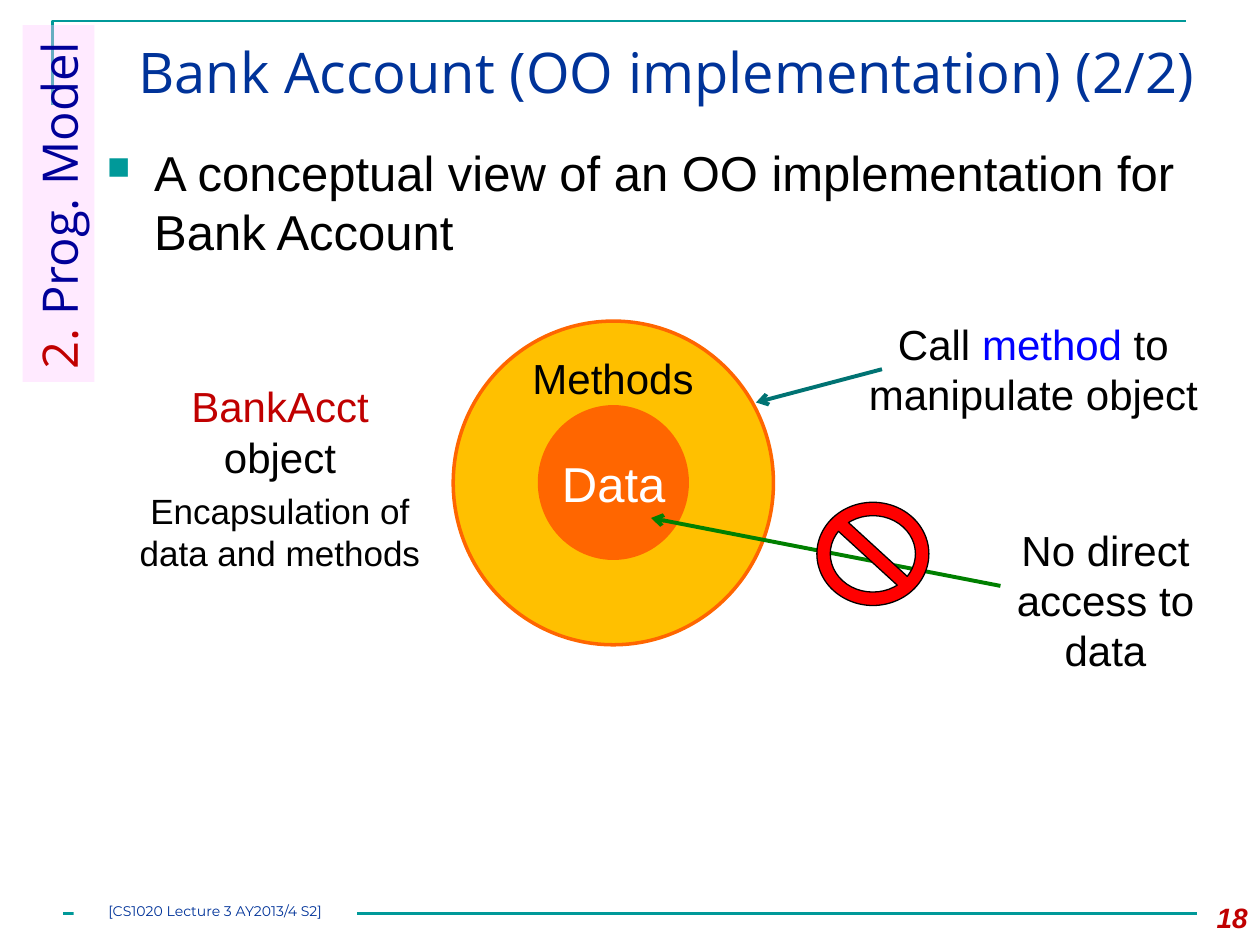
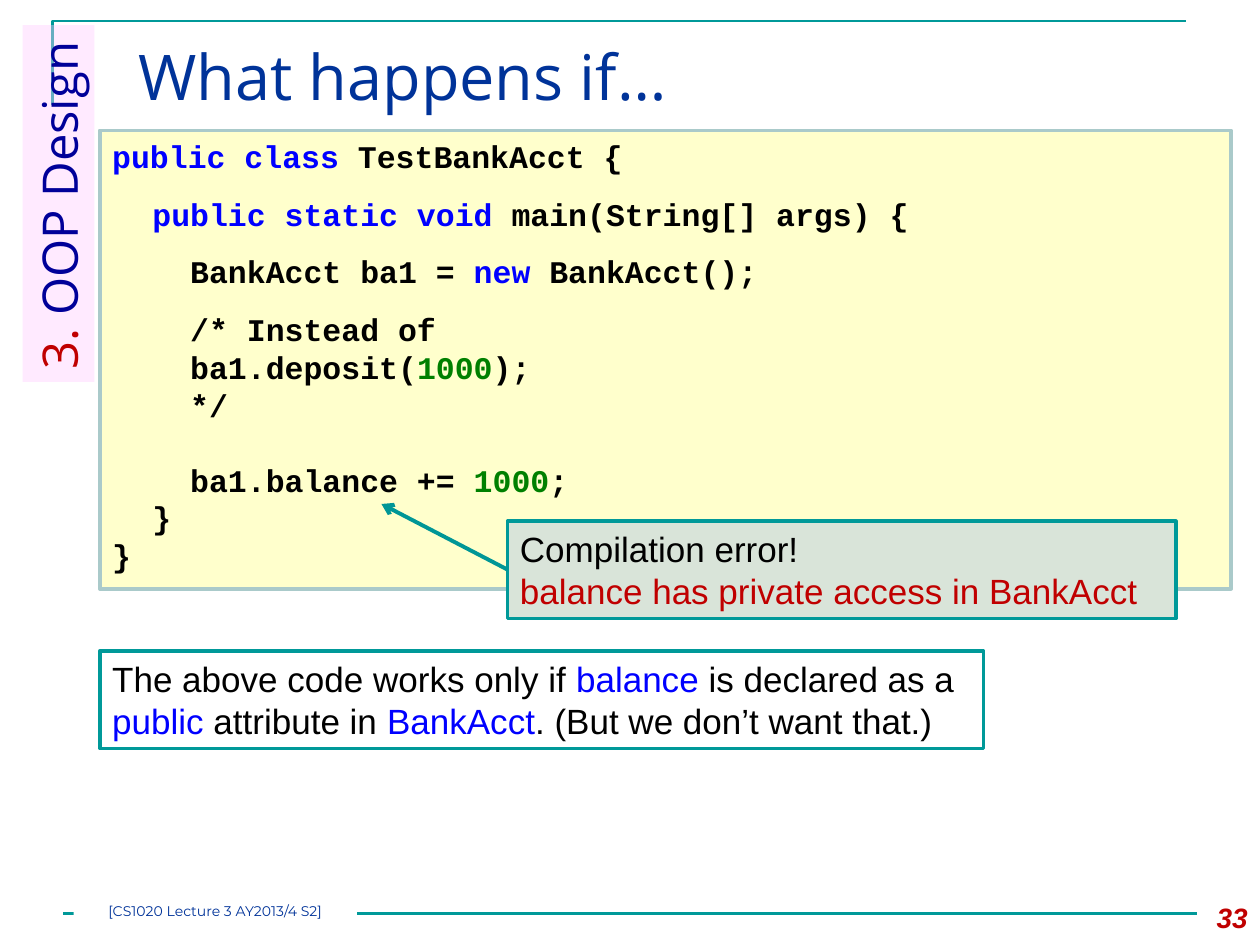
"""Build two lecture slides on encapsulation in a bank account class."""
import pptx
import pptx.util
import pptx.dml.color
import pptx.enum.shapes
import pptx.enum.text
import pptx.oxml.ns
import pptx.oxml.xmlchemy

Pt = pptx.util.Pt
RGBColor = pptx.dml.color.RGBColor
SHAPE = pptx.enum.shapes.MSO_SHAPE
ALIGN = pptx.enum.text.PP_ALIGN
qn = pptx.oxml.ns.qn
new_element = pptx.oxml.xmlchemy.OxmlElement

TEAL = RGBColor(0x00, 0x99, 0x99)
DARK_TEAL = RGBColor(0x00, 0x73, 0x73)
ARROW_TEAL = RGBColor(0x00, 0x96, 0x96)
PALE_TEAL = RGBColor(0xAA, 0xCA, 0xCA)
NAVY = RGBColor(0x00, 0x33, 0x99)
TAG_BLUE = RGBColor(0x00, 0x00, 0x99)
BLUE = RGBColor(0x00, 0x00, 0xFF)
CRIMSON = RGBColor(0xC0, 0x00, 0x00)
RED = RGBColor(0xFF, 0x00, 0x00)
GREEN = RGBColor(0x00, 0x80, 0x00)
PINK = RGBColor(0xFF, 0xCC, 0xFF)
AMBER = RGBColor(0xFF, 0xC0, 0x00)
ORANGE = RGBColor(0xFF, 0x66, 0x00)
CREAM = RGBColor(0xFF, 0xFF, 0xCC)
SAGE = RGBColor(0xD9, 0xE4, 0xD9)
BLACK = RGBColor(0x00, 0x00, 0x00)
WHITE = RGBColor(0xFF, 0xFF, 0xFF)

TITLE_FONT = "Open Sans"
BODY = {"name": "Arial", "size": Pt(24)}
BODY_LARGE = {"name": "Arial", "size": Pt(28)}
BODY_SMALL = {"name": "Arial", "size": Pt(20)}
CODE = {"name": "Courier New", "size": Pt(18), "bold": True}
TAG = {"name": TITLE_FONT, "size": Pt(28)}
FOOTER = {"name": "Montserrat", "size": Pt(8)}
PAGE = {"name": "Arial", "size": Pt(16), "bold": True, "italic": True}

CODE_INDENTS = (0, 23, 44.6)
CODE_LINES = [
    (0, 0, [("public class ", BLUE), ("TestBankAcct {", BLACK)]),
    (1, 11.5, [("public static void ", BLUE), ("main(String[] args) {", BLACK)]),
    (2, 11.5, [("BankAcct ba1 = ", BLACK), ("new", BLUE), (" BankAcct();", BLACK)]),
    (2, 11.5, [("/* Instead of", BLACK)]),
    (2, 0, [("ba1.deposit(", BLACK), ("1000", GREEN), (");", BLACK)]),
    (2, 0, [("*/", BLACK)]),
    (2, 21, [("ba1.balance += ", BLACK), ("1000", GREEN), (";", BLACK)]),
    (1, 0, [("}", BLACK)]),
    (0, 0, [("}", BLACK)]),
]


def points(values):
    """Turn a row of numbers into lengths."""
    return [Pt(value) for value in values]


def write(shape, paragraphs, font, align=ALIGN.LEFT):
    """Fill a shape with paragraphs, each a list of (text, colour) runs."""
    frame = shape.text_frame
    frame.word_wrap = True
    frame.vertical_anchor = pptx.enum.text.MSO_ANCHOR.TOP
    for index, runs in enumerate(paragraphs):
        paragraph = frame.paragraphs[0] if index == 0 else frame.add_paragraph()
        paragraph.alignment = align
        for text, colour in runs:
            run = paragraph.add_run()
            run.text = text
            for name, value in font.items():
                setattr(run.font, name, value)
            run.font.color.rgb = colour


def add_text(slide, box, paragraphs, font, align=ALIGN.LEFT):
    """Add a wrapped text box."""
    shape = slide.shapes.add_textbox(*points(box))
    write(shape, paragraphs, font, align)
    return shape


def add_shape(slide, kind, box, fill, line=None, width=2):
    """Add a flat preset shape."""
    shape = slide.shapes.add_shape(kind, *points(box))
    shape.shadow.inherit = False
    shape.fill.solid()
    shape.fill.fore_color.rgb = fill
    if line is None:
        shape.line.fill.background()
    else:
        shape.line.color.rgb = line
        shape.line.width = Pt(width)
    return shape


def add_line(slide, start, end, colour, width=2.25, arrow=True):
    """Add a straight line, with an open arrowhead at its end if wanted."""
    line = slide.shapes.add_connector(
        pptx.enum.shapes.MSO_CONNECTOR.STRAIGHT, *points(start + end))
    line.line.color.rgb = colour
    line.line.width = Pt(width)
    properties = line._element.spPr
    if arrow:
        head = new_element("a:tailEnd")
        head.set("type", "arrow")
        properties.find(qn("a:ln")).append(head)
    properties.append(new_element("a:effectLst"))


def add_bullet(paragraph):
    """Give a paragraph a small teal square bullet with a hanging indent."""
    paragraph.space_before = Pt(6)
    properties = paragraph._p.get_or_add_pPr()
    properties.set("marL", str(Pt(27)))
    properties.set("indent", str(-Pt(27)))
    colour = new_element("a:buClr")
    value = new_element("a:srgbClr")
    value.set("val", str(TEAL))
    colour.append(value)
    size = new_element("a:buSzPct")
    size.set("val", "65000")
    mark = new_element("a:buChar")
    mark.set("char", "■")
    for element in (colour, size, mark):
        properties.append(element)


def add_frame(slide):
    """Draw the corner rule at the top and the rule at the bottom."""
    builder = slide.shapes.build_freeform(Pt(30), Pt(60))
    builder.add_line_segments([points((30, 12)), points((678, 12))], close=False)
    corner = builder.convert_to_shape()
    corner.shadow.inherit = False
    corner.fill.background()
    corner.line.color.rgb = TEAL
    corner.line.width = Pt(1.5)
    add_line(slide, (36, 522), (684, 522), TEAL, 1.5, arrow=False)


def add_section_tag(slide, number, name):
    """Add the translucent sideways section label."""
    tag = add_shape(slide, SHAPE.RECTANGLE, (-68.4, 95.8, 203.8, 41), PINK)
    tag.rotation = 270
    alpha = new_element("a:alpha")
    alpha.set("val", "40000")
    tag._element.spPr.find(".//" + qn("a:srgbClr")).append(alpha)
    write(tag, [[(number, CRIMSON), (" " + name, TAG_BLUE)]], TAG)


def start_slide(presentation, title, title_size, page, section):
    """Add a slide with its frame, title, page number, footer and section tag."""
    slide = presentation.slides.add_slide(presentation.slide_layouts[6])
    add_frame(slide)
    add_text(slide, (72, 18, 630, 62), [[(title, NAVY)]],
             {"name": TITLE_FONT, "size": Pt(title_size)})
    add_text(slide, (672, 511, 48, 29), [[(page, CRIMSON)]], PAGE, ALIGN.RIGHT)
    footer = add_shape(slide, SHAPE.RECTANGLE, (42, 516, 162, 12), WHITE)
    write(footer, [[("[CS1020 Lecture 3 AY2013/4 S2]", NAVY)]], FOOTER, ALIGN.CENTER)
    for side in ("left", "top", "right", "bottom"):
        setattr(footer.text_frame, "margin_" + side, Pt(0))
    add_section_tag(slide, *section)
    return slide


def build_concept_slide(presentation):
    """Show the object as data wrapped in methods."""
    slide = start_slide(presentation, "Bank Account (OO implementation) (2/2)", 32,
                        "18", ("2.", "Prog. Model"))
    body = add_text(
        slide, (54, 78, 630, 78),
        [[("A conceptual view of an OO implementation for Bank Account", BLACK)]],
        BODY_LARGE)
    add_bullet(body.text_frame.paragraphs[0])
    add_shape(slide, SHAPE.OVAL, (259, 183.5, 183, 185), AMBER, ORANGE)
    add_shape(slide, SHAPE.OVAL, (308.3, 232.5, 84.4, 86.5), ORANGE, ORANGE)
    labels = [
        ((307.5, 255.6, 86.4, 41), [[("Data", WHITE)]], BODY_LARGE),
        ((290.3, 198, 120, 36), [[("Methods", BLACK)]], BODY),
        ((100, 214, 120, 65.5), [[("BankAcct", CRIMSON)], [("object", BLACK)]], BODY),
        ((61, 276, 198, 55.5), [[("Encapsulation of data and methods", BLACK)]],
         BODY_SMALL),
        ((487.5, 178.5, 206, 65.5),
         [[("Call ", BLACK), ("method", BLUE), (" to manipulate object", BLACK)]], BODY),
        ((571.7, 296, 120, 94.5), [[("No direct access to data", BLACK)]], BODY),
    ]
    for box, paragraphs, font in labels:
        add_text(slide, box, paragraphs, font, ALIGN.CENTER)
    add_line(slide, (504, 211), (432, 230), DARK_TEAL)
    add_line(slide, (571.7, 334.8), (372, 296), GREEN)
    barrier = add_shape(slide, SHAPE.NO_SYMBOL, (466.8, 287, 64, 59), RED, BLACK, 0.75)
    barrier.adjustments[0] = 0.13


def build_access_slide(presentation):
    """Show the code that fails on a private attribute."""
    slide = start_slide(presentation, "What happens if…", 36,
                        "33", ("3.", "OOP Design"))
    code = add_shape(slide, SHAPE.RECTANGLE, (57, 74.5, 646.5, 262), CREAM, PALE_TEAL)
    write(code, [runs for _, _, runs in CODE_LINES], CODE)
    for paragraph, (level, gap, _) in zip(code.text_frame.paragraphs, CODE_LINES):
        paragraph.space_before = Pt(gap)
        paragraph._p.get_or_add_pPr().set("marL", str(Pt(CODE_INDENTS[level])))
    remark = add_shape(slide, SHAPE.RECTANGLE, (57, 372, 505, 55.7), WHITE, TEAL)
    write(remark, [[("The above code works only if ", BLACK), ("balance", BLUE),
                    (" is declared as a ", BLACK), ("public", BLUE),
                    (" attribute in ", BLACK), ("BankAcct", BLUE),
                    (". (But we don’t want that.)", BLACK)]], BODY_SMALL)
    error = add_shape(slide, SHAPE.RECTANGLE, (290, 297.8, 382, 55.7), SAGE, TEAL)
    write(error, [[("Compilation error!", BLACK)],
                  [("balance has private access in BankAcct", CRIMSON)]], BODY_SMALL)
    add_line(slide, (290, 325.5), (218, 288), ARROW_TEAL)


def main():
    """Build and save the presentation."""
    presentation = pptx.Presentation()
    presentation.slide_width = Pt(720)
    presentation.slide_height = Pt(540)
    build_concept_slide(presentation)
    build_access_slide(presentation)
    presentation.save("out.pptx")


main()
